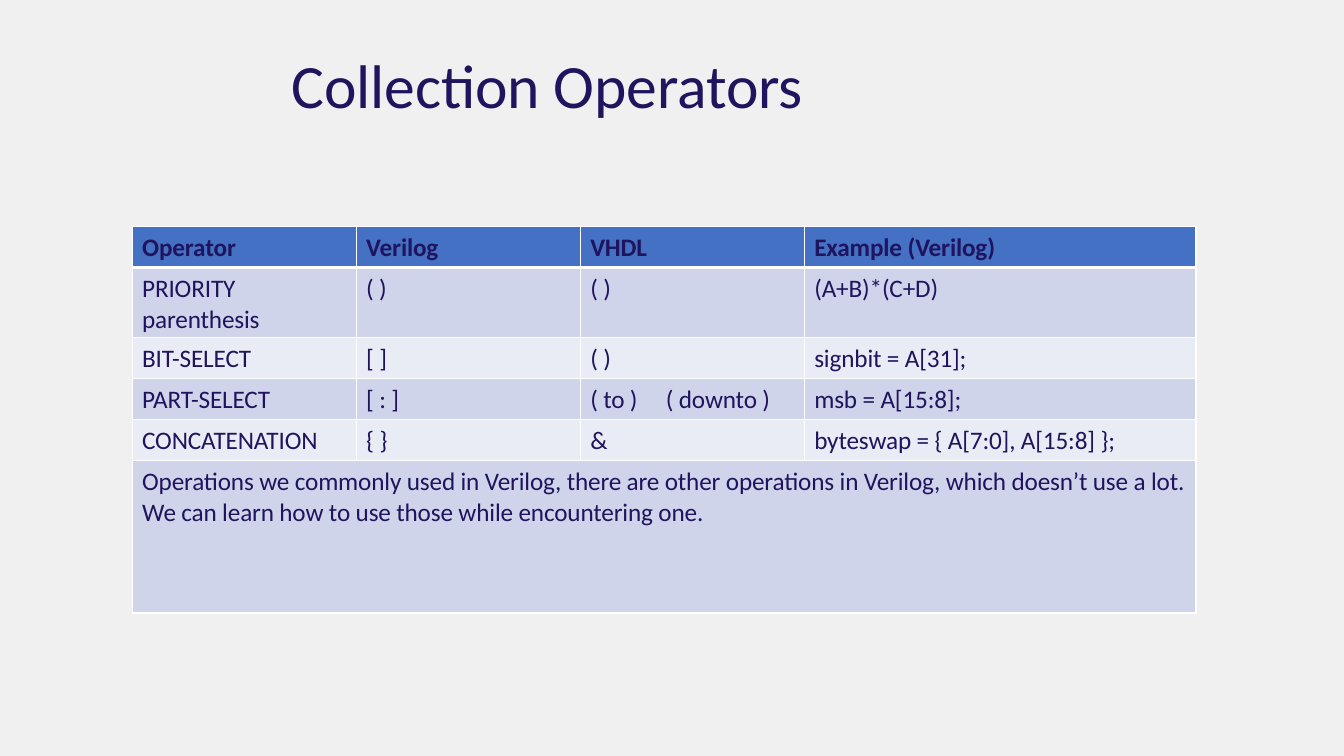
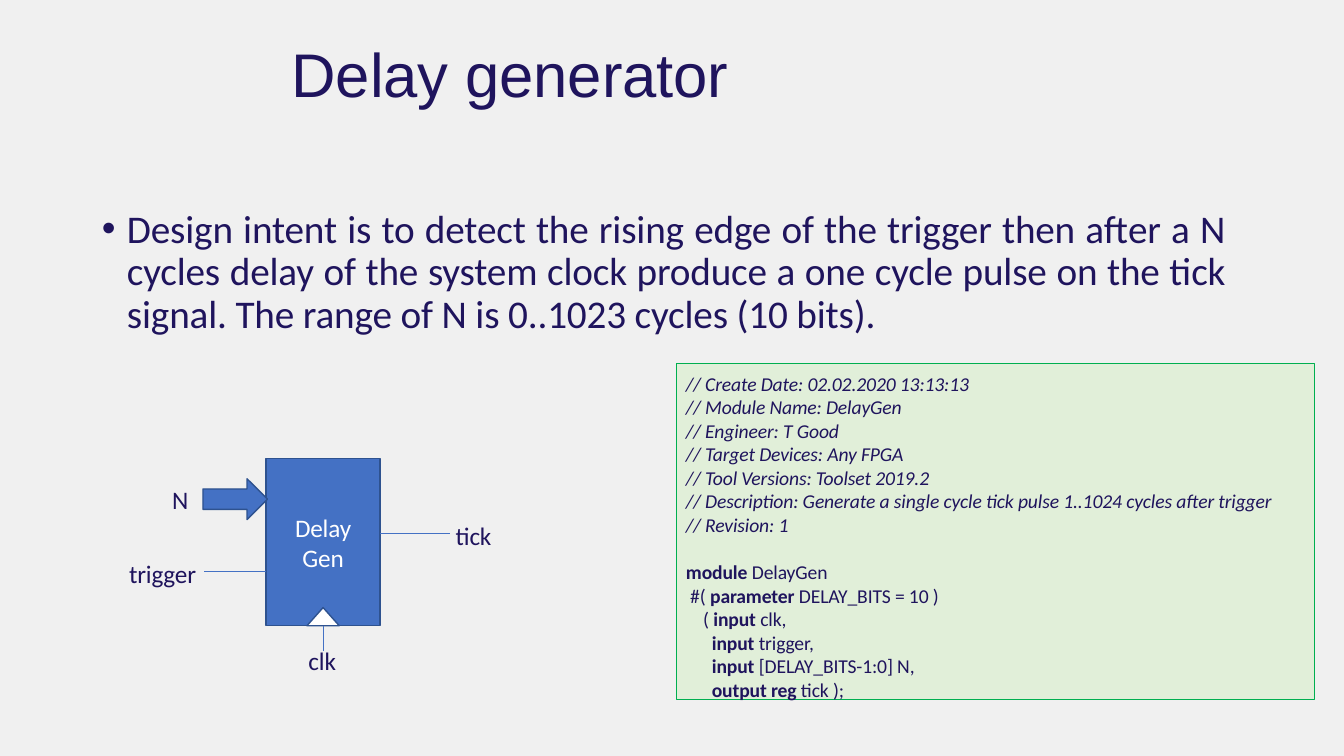
from lxml.etree import SubElement
from pptx import Presentation
from pptx.dml.color import RGBColor
from pptx.enum.shapes import MSO_CONNECTOR, MSO_SHAPE
from pptx.enum.text import MSO_ANCHOR, PP_ALIGN
from pptx.oxml.ns import qn
from pptx.util import Inches, Pt

WIDTH, HEIGHT = Inches(13.33), Inches(7.5)
INK, WHITE, PAPER = "1F145D", "FFFFFF", "F0F0F0"
BLUE, BLUE_EDGE = "4471C4", "2E528F"
BAND_DARK, BAND_LIGHT = "CFD4EA", "E9EBF5"
CODE_FILL, CODE_EDGE = "E1EFD9", "00AF50"
TITLE_LEFT, TITLE_WIDTH, TITLE_HEIGHT = 21.7, 39, 10.13

OPERATORS = [
    ["Operator", "Verilog", "VHDL", "Example (Verilog)"],
    ["PRIORITY\nparenthesis", "( )", "( )", "(A+B)*(C+D)"],
    ["BIT-SELECT", "[ ]", "( )", "signbit = A[31];"],
    ["PART-SELECT", "[ : ]", "( to )\t( downto )", "msb = A[15:8];"],
    ["CONCATENATION", "{ }", "&", "byteswap = { A[7:0], A[15:8] };"],
    ["Operations we commonly used in Verilog, there are other operations in "
     "Verilog, which doesn’t use a lot. We can learn how to use those while "
     "encountering one.", "", "", ""],
]
OPERATOR_COLUMNS = [16.67, 16.67, 16.67, 29.15]
OPERATOR_ROWS = [5.4, 9.3, 5.4, 5.4, 5.4, 20.2]

INTENT = ("Design intent is to detect the rising edge of the trigger then after "
          "a N cycles delay of the system clock produce a one cycle pulse on "
          "the tick signal. The range of N is 0..1023 cycles (10 bits).")
HEADER_COMMENTS = [
    "// Create Date: 02.02.2020 13:13:13",
    "// Module Name: DelayGen",
    "// Engineer: T Good",
    "// Target Devices: Any FPGA",
    "// Tool Versions: Toolset 2019.2",
    "// Description: Generate a single cycle tick pulse 1..1024 cycles after trigger",
    "// Revision: 1",
]
DECLARATION = [
    ("", "module", " DelayGen"),
    (" #( ", "parameter", " DELAY_BITS = 10 )"),
    ("    ( ", "input", " clk,"),
    ("      ", "input", " trigger,"),
    ("      ", "input", " [DELAY_BITS-1:0] N,"),
    ("      ", "output reg", " tick );"),
]
PIN_LABELS = [("N", 12.8, 63.6), ("trigger", 9.6, 73.5),
              ("tick", 33.9, 68.4), ("clk", 22.95, 84.9)]


def rgb(value):
    return RGBColor.from_string(value)


def across(percent):
    return round(WIDTH * percent / 100)


def down(percent):
    return round(HEIGHT * percent / 100)


def area(left, top, width, height):
    return across(left), down(top), across(width), down(height)


def set_insets(target, left=0, top=0):
    target.margin_left, target.margin_top = Inches(left), Inches(top)
    target.margin_right = target.margin_bottom = 0


def style_run(run, size, color=INK, face="Calibri", bold=False, italic=False):
    font = run.font
    font.size, font.name, font.bold, font.italic = Pt(size), face, bold, italic
    font.color.rgb = rgb(color)
    run._r.get_or_add_rPr().set("spc", "-10")


def style_text(frame, size, **look):
    for paragraph in frame.paragraphs:
        for run in paragraph.runs:
            style_run(run, size, **look)


def add_tab(paragraph, inches):
    stops = SubElement(paragraph._p.get_or_add_pPr(), qn("a:tabLst"))
    SubElement(stops, qn("a:tab"), pos=str(Inches(inches)), algn="l")


def add_text(slide, text, place, size, top=0.03, wrap=True, **look):
    frame = slide.shapes.add_textbox(*area(*place)).text_frame
    frame.word_wrap = wrap
    set_insets(frame, top=top)
    frame.text = text
    style_text(frame, size, **look)
    return frame


def add_title(slide, text, top, face="Calibri"):
    add_text(slide, text, (TITLE_LEFT, top, TITLE_WIDTH, TITLE_HEIGHT), 44, face=face)


def add_figure(slide, kind, place, fill, edge, weight=1):
    figure = slide.shapes.add_shape(kind, *area(*place))
    figure.shadow.inherit = False
    figure.fill.solid()
    figure.fill.fore_color.rgb = rgb(fill)
    figure.line.color.rgb = rgb(edge)
    figure.line.width = Pt(weight)
    return figure


def add_wire(slide, x1, y1, x2, y2):
    wire = slide.shapes.add_connector(
        MSO_CONNECTOR.STRAIGHT, across(x1), down(y1), across(x2), down(y2))
    wire.line.color.rgb = rgb(BLUE)
    wire.line.width = Pt(0.5)
    SubElement(wire._element.spPr, qn("a:effectLst"))
    return wire


def add_borders(cell, top, bottom):
    properties = cell._tc.get_or_add_tcPr()
    for side, weight in (("L", 1), ("R", 1), ("T", top), ("B", bottom)):
        edge = SubElement(properties, qn(f"a:ln{side}"), w=str(Pt(weight)))
        fill = SubElement(edge, qn("a:solidFill"))
        SubElement(fill, qn("a:srgbClr"), val=WHITE)


def fill_cell(cell, text, row):
    add_borders(cell, top=3 if row == 1 else 1, bottom=3 if row == 0 else 1)
    cell.fill.solid()
    band = BAND_DARK if row % 2 else BAND_LIGHT
    cell.fill.fore_color.rgb = rgb(band if row else BLUE)
    set_insets(cell, left=0.1, top=0.06)
    cell.text_frame.text = text
    if "\t" in text:
        add_tab(cell.text_frame.paragraphs[0], 0.75)
    style_text(cell.text_frame, 18, bold=row == 0)


def add_operator_table(slide):
    place = (9.83, 30, sum(OPERATOR_COLUMNS), sum(OPERATOR_ROWS))
    table = slide.shapes.add_table(
        len(OPERATOR_ROWS), len(OPERATOR_COLUMNS), *area(*place)).table
    table.horz_banding = False
    for column, width in zip(table.columns, OPERATOR_COLUMNS):
        column.width = across(width)
    for row, height in zip(table.rows, OPERATOR_ROWS):
        row.height = down(height)
    for row, texts in enumerate(OPERATORS):
        for column, text in enumerate(texts):
            fill_cell(table.cell(row, column), text, row)
    last = len(OPERATOR_ROWS) - 1
    table.cell(last, 0).merge(table.cell(last, len(OPERATOR_COLUMNS) - 1))


def add_intent(slide):
    frame = add_text(slide, INTENT, (7.5, 26.13, 83.7, 17.73), 28, top=0.12)
    paragraph = frame.paragraphs[0]
    paragraph.alignment = PP_ALIGN.JUSTIFY
    paragraph.line_spacing = 0.9
    properties = paragraph._p.get_or_add_pPr()
    properties.set("marL", str(Inches(0.26)))
    properties.set("indent", str(-Inches(0.25)))
    SubElement(properties, qn("a:buFont"), typeface="Arial")
    SubElement(properties, qn("a:buChar"), char="•")


def add_delay_block(slide):
    left, top, width, height = 19.8, 60.67, 8.48, 22.1
    middle, right, bottom = left + width / 2, left + width, top + height
    block = add_figure(slide, MSO_SHAPE.RECTANGLE, (left, top, width, height),
                       BLUE, BLUE_EDGE)
    frame = block.text_frame
    frame.word_wrap = True
    set_insets(frame)
    frame.text = "Delay\nGen"
    for paragraph in frame.paragraphs:
        paragraph.alignment = PP_ALIGN.CENTER
    style_text(frame, 18, color=WHITE)
    notch = 2.4
    add_figure(slide, MSO_SHAPE.ISOSCELES_TRIANGLE,
               (middle - notch / 2, bottom - notch, notch, notch), WHITE, BLUE_EDGE)
    add_figure(slide, MSO_SHAPE.RIGHT_ARROW, (15.1, 63.33, 4.8, 5.4), BLUE, BLUE_EDGE)
    clock = add_wire(slide, middle, 86.13, middle, bottom)
    clock.end_connect(block, 2)
    add_wire(slide, 15.2, 75.6, left, 75.6)
    add_wire(slide, right, 70.6, 33.5, 70.6)
    for text, x, y in PIN_LABELS:
        add_text(slide, text, (x, y, 5.2, 4.4), 18, wrap=False)


def add_code(slide):
    panel = add_figure(slide, MSO_SHAPE.RECTANGLE, (50.3, 48.1, 47.5, 44.4),
                       CODE_FILL, CODE_EDGE, 0.75)
    frame = panel.text_frame
    frame.word_wrap = True
    frame.vertical_anchor = MSO_ANCHOR.TOP
    set_insets(frame, left=0.1, top=0.08)
    frame.text = "\n".join(HEADER_COMMENTS)
    style_text(frame, 14, italic=True)
    for number, pieces in enumerate(DECLARATION):
        paragraph = frame.add_paragraph()
        if number == 0:
            paragraph.space_before = Pt(17)
        for piece, bold in zip(pieces, (False, True, False)):
            if piece:
                run = paragraph.add_run()
                run.text = piece
                style_run(run, 14, bold=bold)
    for paragraph in frame.paragraphs:
        paragraph.alignment = PP_ALIGN.LEFT


def main():
    deck = Presentation()
    deck.slide_width, deck.slide_height = WIDTH, HEIGHT
    backdrop = deck.slide_master.background.fill
    backdrop.solid()
    backdrop.fore_color.rgb = rgb(PAPER)
    blank = deck.slide_layouts[6]

    operators = deck.slides.add_slide(blank)
    add_title(operators, "Collection Operators", 5.87)
    add_operator_table(operators)

    generator = deck.slides.add_slide(blank)
    add_title(generator, "Delay generator", 4.4, face="Arial")
    add_intent(generator)
    add_delay_block(generator)
    add_code(generator)

    deck.save("out.pptx")


if __name__ == "__main__":
    main()
